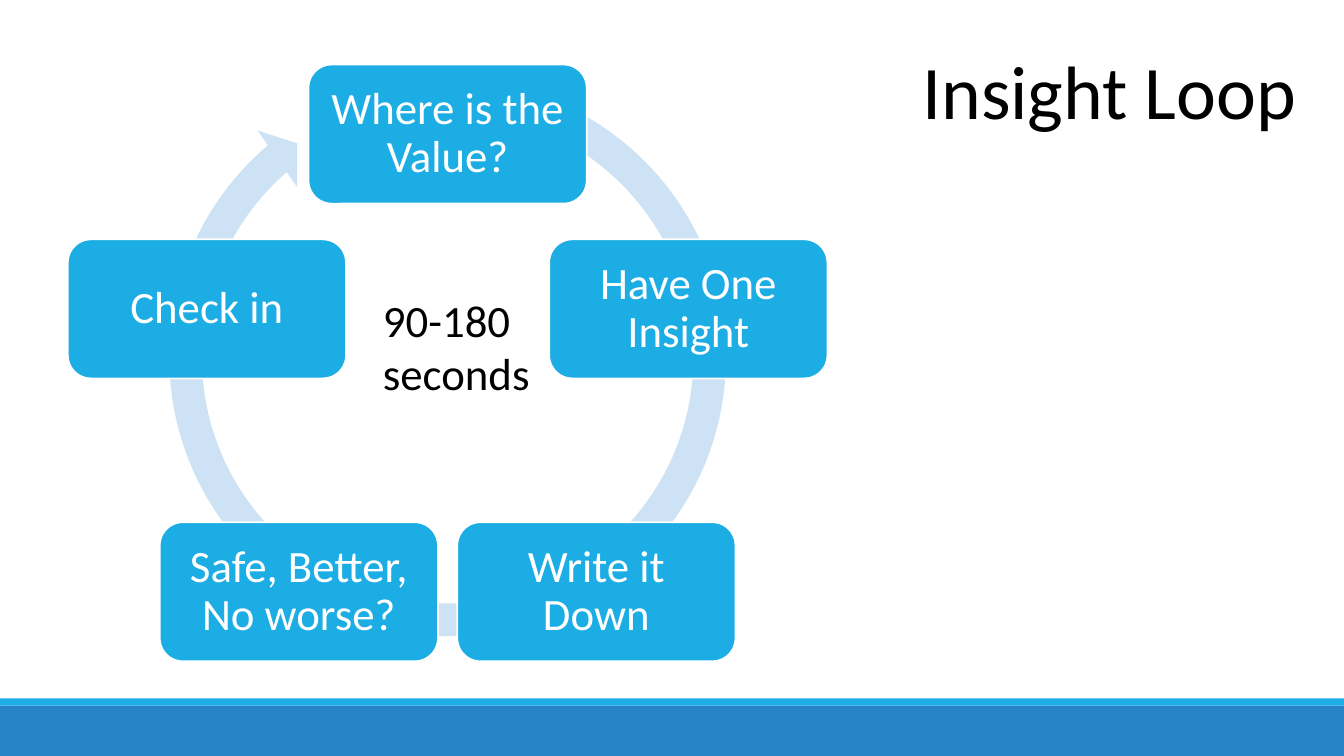
from dataclasses import dataclass
from math import cos, radians, sin

from pptx import Presentation
from pptx import util as u
from pptx.dml.color import RGBColor
from pptx.enum import shapes, text


@dataclass(frozen=True)
class Theme:
    font: str = "Calibri"
    title_size: int = 54
    body_size: int = 32
    accent: str = "1CADE4"
    footer: str = "2683C6"
    loop: str = "CDE3F5"
    white: str = "FFFFFF"
    black: str = "000000"


THEME = Theme()
STEPS = ["Where is the Value?", "Have One Insight", "Write it Down",
         "Safe, Better, No worse?", "Check in"]
LOOP_CENTER = (4.44, 3.84)
LOOP_RADIUS = 2.51
STEP_SIZE = (2.76, 1.38)


def add_filled_shape(slide, kind, box, fill, line=None):
    """Add a flat preset shape; box is left, top, width, height in inches."""
    shape = slide.shapes.add_shape(kind, *map(u.Inches, box))
    shape.shadow.inherit = False
    shape.fill.solid()
    shape.fill.fore_color.rgb = RGBColor.from_string(fill)
    if line:
        shape.line.color.rgb = RGBColor.from_string(line)
        shape.line.width = u.Pt(1.25)
    else:
        shape.line.fill.background()
    return shape


def write_text(frame, lines, size=THEME.body_size, color=THEME.black,
               align=text.PP_ALIGN.LEFT, spacing=None):
    """Write one paragraph for each line."""
    for index, line in enumerate(lines):
        paragraph = frame.add_paragraph() if index else frame.paragraphs[0]
        paragraph.alignment = align
        paragraph.line_spacing = spacing
        run = paragraph.add_run()
        run.text = line
        run.font.name = THEME.font
        run.font.size = u.Pt(size)
        run.font.color.rgb = RGBColor.from_string(color)


def add_label(slide, box, lines, **text_format):
    frame = slide.shapes.add_textbox(*map(u.Inches, box)).text_frame
    frame.word_wrap = False
    frame.auto_size = text.MSO_AUTO_SIZE.SHAPE_TO_FIT_TEXT
    write_text(frame, lines, **text_format)


def add_step(slide, label, angle):
    """Add a step box centred on the loop, at degrees clockwise from the top."""
    width, height = STEP_SIZE
    left = LOOP_CENTER[0] + LOOP_RADIUS * sin(radians(angle)) - width / 2
    top = LOOP_CENTER[1] - LOOP_RADIUS * cos(radians(angle)) - height / 2
    shape = add_filled_shape(slide, shapes.MSO_SHAPE.ROUNDED_RECTANGLE,
                             (left, top, width, height), THEME.accent, THEME.white)
    frame = shape.text_frame
    frame.word_wrap = True
    frame.vertical_anchor = text.MSO_ANCHOR.MIDDLE
    frame.margin_left = frame.margin_right = u.Inches(0.13)
    frame.margin_top = frame.margin_bottom = u.Inches(0.13)
    write_text(frame, [label], color=THEME.white,
               align=text.PP_ALIGN.CENTER, spacing=0.9)


def add_loop_arrow(slide):
    arrow = add_filled_shape(slide, shapes.MSO_SHAPE.CIRCULAR_ARROW,
                             (1.5, 0.61, 5.88, 5.88), THEME.loop)
    # Thickness, head angle, end angle, start angle, head width
    for index, value in enumerate((0.055, 3.307, 137.676, 173.91, 0.058)):
        arrow.adjustments[index] = value


def main():
    presentation = Presentation()
    presentation.slide_width = u.Inches(13.33)
    presentation.slide_height = u.Inches(7.5)
    slide = presentation.slides.add_slide(presentation.slide_layouts[6])

    # Footer bands
    rectangle = shapes.MSO_SHAPE.RECTANGLE
    add_filled_shape(slide, rectangle, (0, 7, 13.33, 0.5), THEME.footer)
    add_filled_shape(slide, rectangle, (0, 6.93, 13.33, 0.07), THEME.accent)

    # Loop with evenly spaced steps
    add_loop_arrow(slide)
    for index, label in enumerate(STEPS):
        add_step(slide, label, index * 360 / len(STEPS))

    # Title and duration
    add_label(slide, (9.05, 0.39, 3.95, 1.01), ["Insight Loop"], size=THEME.title_size)
    add_label(slide, (3.7, 2.85, 1.67, 1.18), ["90-180", "seconds"])

    presentation.save("out.pptx")


main()
